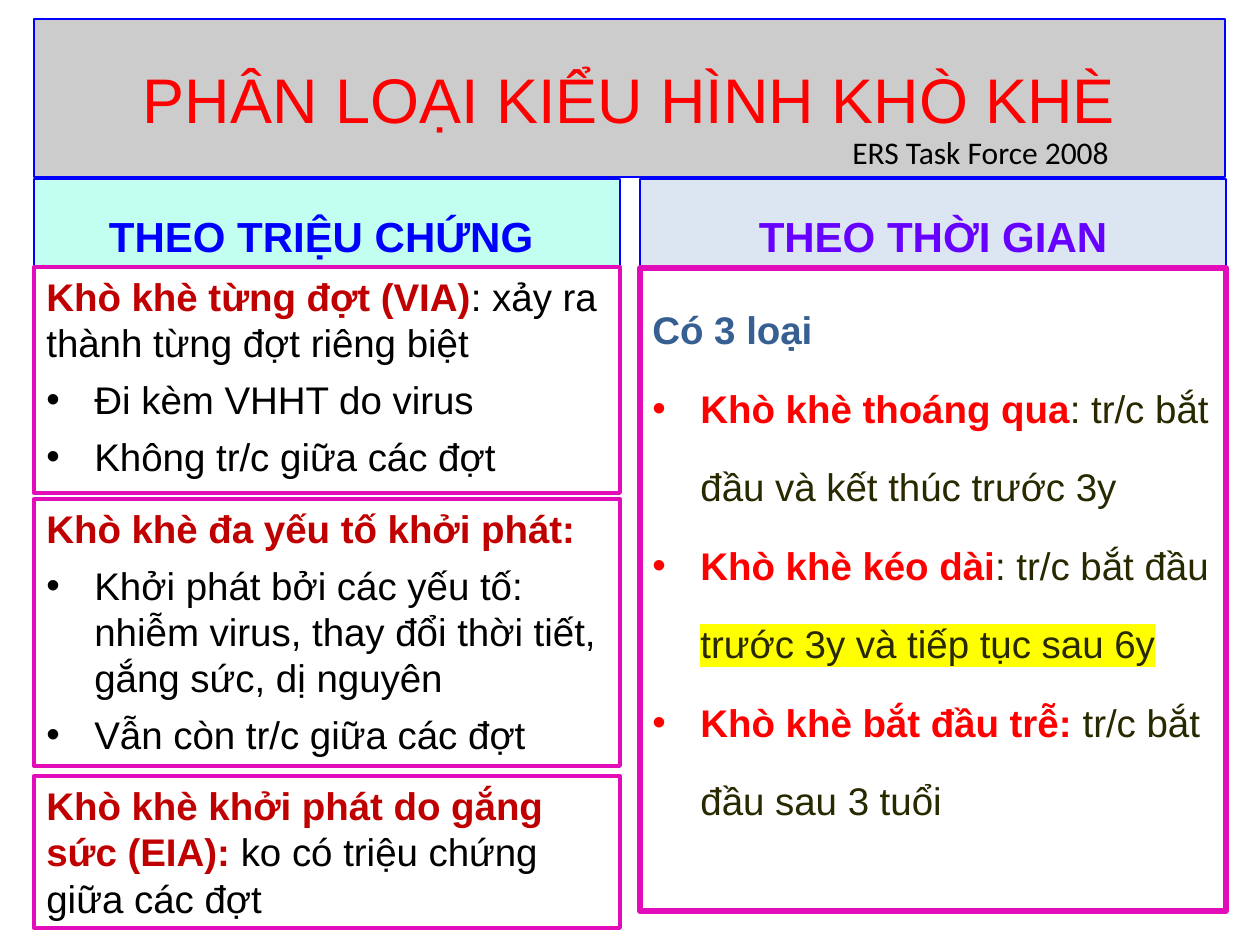
"""Build the slide that classifies wheezing phenotypes by symptoms and by time."""
from lxml.etree import SubElement
from pptx import Presentation
from pptx.dml.color import RGBColor as RGB
from pptx.enum.shapes import MSO_SHAPE as Shape
from pptx.enum.text import MSO_ANCHOR as Anchor, MSO_AUTO_SIZE as AutoSize, PP_ALIGN as Align
from pptx.oxml import parse_xml
from pptx.oxml.ns import nsdecls, qn
from pptx.util import Inches, Pt

PX = Inches(1) / 126

RED = RGB(0xFF, 0x00, 0x00)
DARK_RED = RGB(0xC0, 0x00, 0x00)
BLUE = RGB(0x00, 0x00, 0xFF)
STEEL = RGB(0x37, 0x60, 0x92)
VIOLET = RGB(0x66, 0x00, 0xFF)
MAGENTA = RGB(0xE2, 0x0D, 0xB8)
OLIVE = RGB(0x29, 0x29, 0x00)
BLACK = RGB(0x00, 0x00, 0x00)
GREY = RGB(0xCC, 0xCC, 0xCC)
MINT = RGB(0xC2, 0xFF, 0xF0)
PALE_BLUE = RGB(0xDC, 0xE6, 0xF2)
YELLOW = "FFFF00"

LEFT, RIGHT, COLUMN = 34, 640, 586
HANGING = 48

TITLE = "PHÂN LOẠI KIỂU HÌNH KHÒ KHÈ"
SOURCE = "ERS Task Force 2008"

# left, text, text colour, fill
HEADINGS = [
    (LEFT, "THEO TRIỆU CHỨNG ", BLUE, MINT),
    (RIGHT, "THEO THỜI GIAN", VIOLET, PALE_BLUE),
]

STRONG, PLAIN, MARKED = "strong", "plain", "marked"
SYMPTOM_STYLE = {"lead": DARK_RED, "strong": DARK_RED, "plain": BLACK,
                 "after": 6, "spacing": 1.0, "line": 2.25}
TIME_STYLE = {"lead": STEEL, "strong": RED, "plain": OLIVE,
              "after": 0, "spacing": 1.7, "line": 3}

PANELS = [
    ((LEFT, 267, COLUMN, 226), SYMPTOM_STYLE, [
        [("Khò khè từng đợt (VIA)", STRONG), (": xảy ra thành từng đợt riêng biệt", PLAIN)],
        [("Đi kèm VHHT do virus", PLAIN)],
        [("Không tr/c giữa các đợt", PLAIN)],
    ]),
    ((LEFT, 499, COLUMN, 267), SYMPTOM_STYLE, [
        [("Khò khè đa yếu tố khởi phát:", STRONG)],
        [("Khởi phát bởi các yếu tố: nhiễm virus, thay đổi thời tiết, gắng sức, dị nguyên", PLAIN)],
        [("Vẫn còn tr/c giữa các đợt", PLAIN)],
    ]),
    ((LEFT, 776, COLUMN, 152), SYMPTOM_STYLE, [
        [("Khò khè khởi phát do gắng sức (EIA): ", STRONG), ("ko có triệu chứng giữa các đợt", PLAIN)],
    ]),
    ((RIGHT, 268, COLUMN, 643), TIME_STYLE, [
        [("Có 3 loại", STRONG)],
        [("Khò khè thoáng qua", STRONG), (": tr/c bắt đầu và kết thúc trước 3y", PLAIN)],
        [("Khò khè kéo dài", STRONG), (": tr/c bắt đầu ", PLAIN),
         ("trước 3y và tiếp tục sau 6y", MARKED)],
        [("Khò khè bắt đầu trễ:", STRONG), (" tr/c bắt đầu sau 3 tuổi", PLAIN)],
    ]),
]


def scaled(*lengths):
    return [round(length * PX) for length in lengths]


def add_run(paragraph, text, size, color, bold=False, face="Arial"):
    run = paragraph.add_run()
    run.text = text
    run.font.size, run.font.bold, run.font.name = Pt(size), bold, face
    run.font.color.rgb = color
    return run


def highlight(run):
    mark = parse_xml(f'<a:highlight {nsdecls("a")}><a:srgbClr val="{YELLOW}"/></a:highlight>')
    run.font._element.find(qn("a:solidFill")).addnext(mark)


def add_bullet(paragraph):
    properties = paragraph._p.get_or_add_pPr()
    indent = round(HANGING * PX)
    properties.set("marL", str(indent))
    properties.set("indent", str(-indent))
    SubElement(properties, qn("a:buFont"), typeface="Arial")
    SubElement(properties, qn("a:buChar"), char="•")


def outline(box, color, width):
    box.line.color.rgb = color
    box.line.width = Pt(width)


def add_box(slide, place, line, width, anchor):
    box = slide.shapes.add_shape(Shape.RECTANGLE, *scaled(*place))
    box.shadow.inherit = False
    box.fill.background()
    outline(box, line, width)
    box.text_frame.word_wrap = True
    box.text_frame.vertical_anchor = anchor
    return box


def add_title(slide):
    title = slide.shapes.title
    title.left, title.top, title.width, title.height = scaled(LEFT, 19, 1191, 158)
    title.fill.solid()
    title.fill.fore_color.rgb = GREY
    outline(title, BLUE, 0.75)
    frame = title.text_frame
    frame.auto_size = AutoSize.NONE
    frame.vertical_anchor = Anchor.MIDDLE
    frame.paragraphs[0].alignment = Align.CENTER
    add_run(frame.paragraphs[0], TITLE, 36, RED)


def add_heading(slide, left, text, color, fill):
    heading = add_box(slide, (left, 179, COLUMN, 88), BLUE, 0.75, Anchor.BOTTOM)
    heading.fill.solid()
    heading.fill.fore_color.rgb = fill
    paragraph = heading.text_frame.paragraphs[0]
    paragraph.alignment = Align.CENTER
    add_run(paragraph, text, 24, color, bold=True)


def add_panel(slide, place, style, items):
    frame = add_box(slide, place, MAGENTA, style["line"], Anchor.TOP).text_frame
    for index, item in enumerate(items):
        paragraph = frame.add_paragraph() if index else frame.paragraphs[0]
        if index:
            add_bullet(paragraph)
        paragraph.alignment = Align.LEFT
        paragraph.line_spacing = style["spacing"]
        paragraph.space_after = Pt(style["after"])
        for text, role in item:
            strong = role == STRONG
            strong_color = style["strong"] if index else style["lead"]
            run = add_run(paragraph, text, 22, strong_color if strong else style["plain"], strong)
            if role == MARKED:
                highlight(run)


def add_source(slide):
    source = slide.shapes.add_textbox(*scaled(840, 127, 289, 50))
    source.text_frame.word_wrap = False
    add_run(source.text_frame.paragraphs[0], SOURCE, 18, BLACK, face="Calibri")


def main():
    deck = Presentation()
    deck.slide_width, deck.slide_height = Inches(10), Inches(7.5)
    slide = deck.slides.add_slide(deck.slide_layouts.get_by_name("Title Only"))
    add_title(slide)
    for heading in HEADINGS:
        add_heading(slide, *heading)
    for panel in PANELS:
        add_panel(slide, *panel)
    add_source(slide)
    deck.save("out.pptx")


if __name__ == "__main__":
    main()
